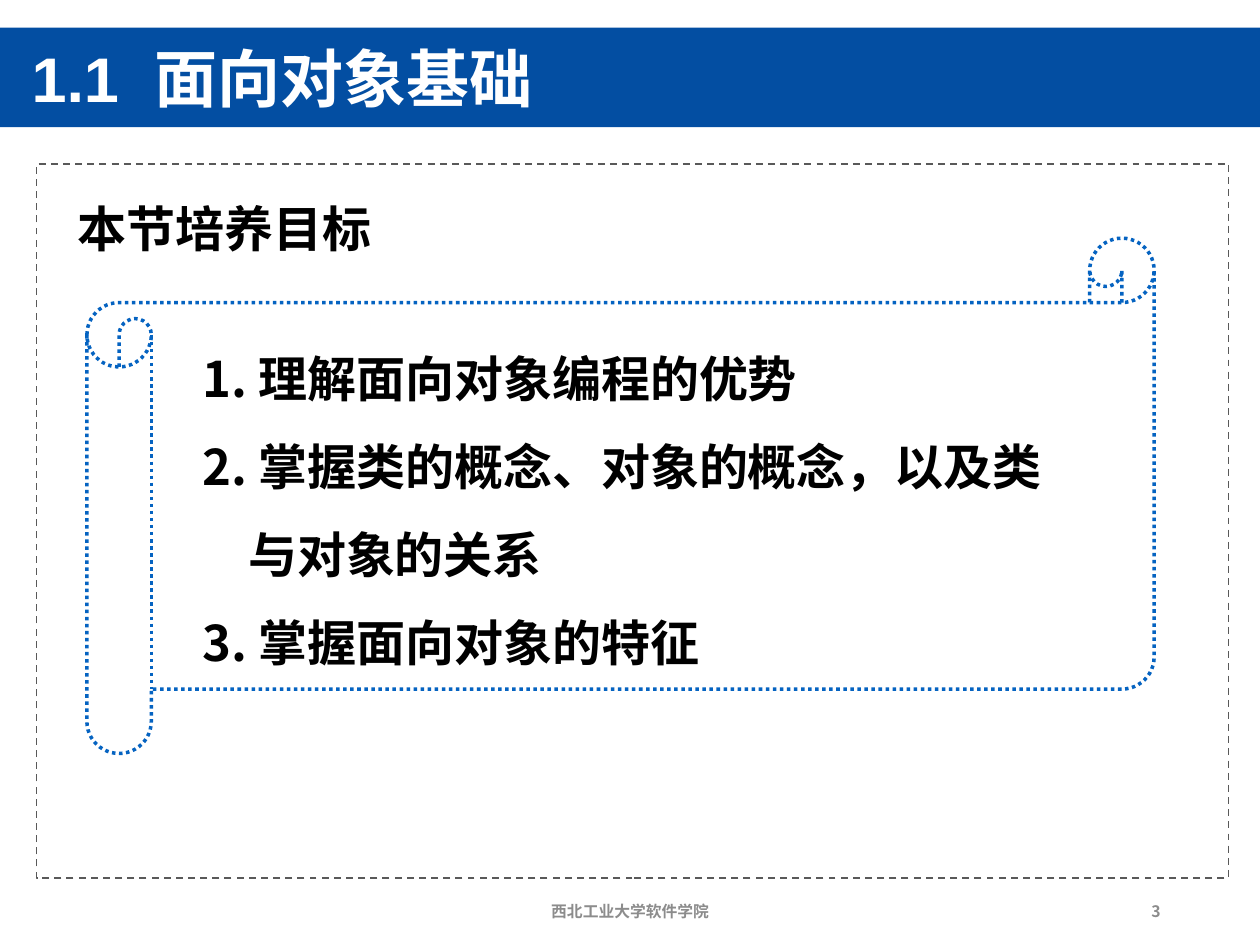
from dataclasses import dataclass

from lxml.etree import SubElement
from pptx import Presentation
from pptx.dml.color import RGBColor
from pptx.enum.dml import MSO_LINE
from pptx.enum.shapes import MSO_SHAPE
from pptx.enum.text import MSO_ANCHOR, MSO_AUTO_SIZE, PP_ALIGN
from pptx.oxml.ns import qn
from pptx.util import Inches, Pt


@dataclass(frozen=True)
class Theme:
    font: str = "Noto Sans CJK SC"
    title_font: str = "Arial"
    banner: RGBColor = RGBColor(0x03, 0x4E, 0xA2)
    scroll: RGBColor = RGBColor(0x05, 0x63, 0xC1)
    frame: RGBColor = RGBColor(0x59, 0x59, 0x59)
    text: RGBColor = RGBColor(0, 0, 0)
    muted: RGBColor = RGBColor(0x8C, 0x8C, 0x8C)
    white: RGBColor = RGBColor(0xFF, 0xFF, 0xFF)
    title_size: int = 36
    body_size: int = 28
    footer_size: int = 9


THEME = Theme()


def place(shape, box):
    shape.left, shape.top, shape.width, shape.height = (Inches(value) for value in box)


def format_paragraph(paragraph, size, color, alignment=PP_ALIGN.LEFT, latin=THEME.font):
    paragraph.alignment = alignment
    font = paragraph.font
    font.size, font.bold, font.name = Pt(size), True, latin
    font.color.rgb = color
    # East Asian characters need their own typeface entry
    properties = paragraph._p.get_or_add_pPr().find(qn("a:defRPr"))
    SubElement(properties, qn("a:ea")).set("typeface", THEME.font)


def add_label(slide, box, text, size, color, alignment=PP_ALIGN.LEFT):
    label = slide.shapes.add_textbox(*(Inches(value) for value in box))
    frame = label.text_frame
    frame.word_wrap = True
    frame.vertical_anchor = MSO_ANCHOR.MIDDLE
    frame.text = text
    format_paragraph(frame.paragraphs[0], size, color, alignment)


def add_outline(slide, kind, box, color, width, dash):
    shape = slide.shapes.add_shape(kind, *(Inches(value) for value in box))
    shape.shadow.inherit = False
    shape.fill.background()
    shape.line.color.rgb = color
    shape.line.width = Pt(width)
    shape.line.dash_style = dash
    return shape


def add_header(slide, box, text):
    left, top, width, height = box
    # Blue banner, kept behind the title
    banner = slide.shapes.add_shape(MSO_SHAPE.RECTANGLE, *(Inches(value) for value in box))
    banner.shadow.inherit = False
    banner.fill.solid()
    banner.fill.fore_color.rgb = THEME.banner
    banner.line.fill.background()
    title = slide.shapes.title
    title._element.addprevious(banner._element)
    place(title, (left + 0.15, top + 0.07, width - 2.51, height - 0.07))
    title.text_frame.text = text
    title.text_frame.vertical_anchor = MSO_ANCHOR.MIDDLE
    paragraph = title.text_frame.paragraphs[0]
    paragraph.line_spacing = 0.9
    format_paragraph(paragraph, THEME.title_size, THEME.white, latin=THEME.title_font)


def add_goal_list(body, box, lines):
    place(body, box)
    frame = body.text_frame
    frame.word_wrap = True
    frame.auto_size = MSO_AUTO_SIZE.SHAPE_TO_FIT_TEXT
    frame.text = "\n".join(text for text, _ in lines)
    for paragraph, (_, indent) in zip(frame.paragraphs, lines):
        paragraph.line_spacing = 1.5
        paragraph.space_before = Pt(0)
        properties = paragraph._p.get_or_add_pPr()
        properties.set("marL", str(Inches(indent)))
        properties.set("indent", "0")
        SubElement(properties, qn("a:buNone"))
        tabs = SubElement(properties, qn("a:tabLst"))
        SubElement(tabs, qn("a:tab"), pos=str(Inches(0.5)), algn="l")
        format_paragraph(paragraph, THEME.body_size, THEME.text, PP_ALIGN.JUSTIFY)


def add_goals(slide, box, heading, lines):
    left, top, width, height = box
    # Dashed frame, heading and scroll
    add_outline(slide, MSO_SHAPE.RECTANGLE, box, THEME.frame, 1, MSO_LINE.DASH)
    add_label(slide, (left + 0.23, top + 0.16, width - 0.71, 0.7),
              heading, THEME.body_size, THEME.text)
    scroll = add_outline(slide, MSO_SHAPE.HORIZONTAL_SCROLL,
                         (left + 0.4, top + 0.59, width - 0.99, height - 1.58),
                         THEME.scroll, 2, MSO_LINE.ROUND_DOT)
    scroll.adjustments[0] = 0.125
    # Goals, in front of the scroll
    body = slide.placeholders[1]
    scroll._element.addnext(body._element)
    add_goal_list(body, (left + 1.22, top + 1.18, 7.01, 2.93), lines)


def add_footer(slide, box, organisation, number):
    left, top, width, height = box
    for offset, label_width, text, alignment in (
        (0, 3.38, organisation, PP_ALIGN.CENTER),
        (width - 2.25, 2.25, number, PP_ALIGN.RIGHT),
    ):
        add_label(slide, (left + offset, top, label_width, height),
                  text, THEME.footer_size, THEME.muted, alignment)


def main():
    presentation = Presentation()
    presentation.slide_width, presentation.slide_height = Inches(10), Inches(7.5)
    slide = presentation.slides.add_slide(presentation.slide_layouts[1])
    add_header(slide, (0, 0.22, 10, 0.79), "1.1 \u00a0面向对象基础".replace("\u00a0", chr(160)))
    add_goals(slide, (0.29, 1.3, 9.46, 5.67), "本节培养目标", (
        ("1. 理解面向对象编程的优势", 0),
        ("2. 掌握类的概念、对象的概念，以及类", 0),
        ("与对象的关系", 0.36),
        ("3. 掌握面向对象的特征", 0),
    ))
    add_footer(slide, (3.31, 7.03, 6, 0.4), "西北工业大学软件学院", "3")
    presentation.save("out.pptx")


if __name__ == "__main__":
    main()
